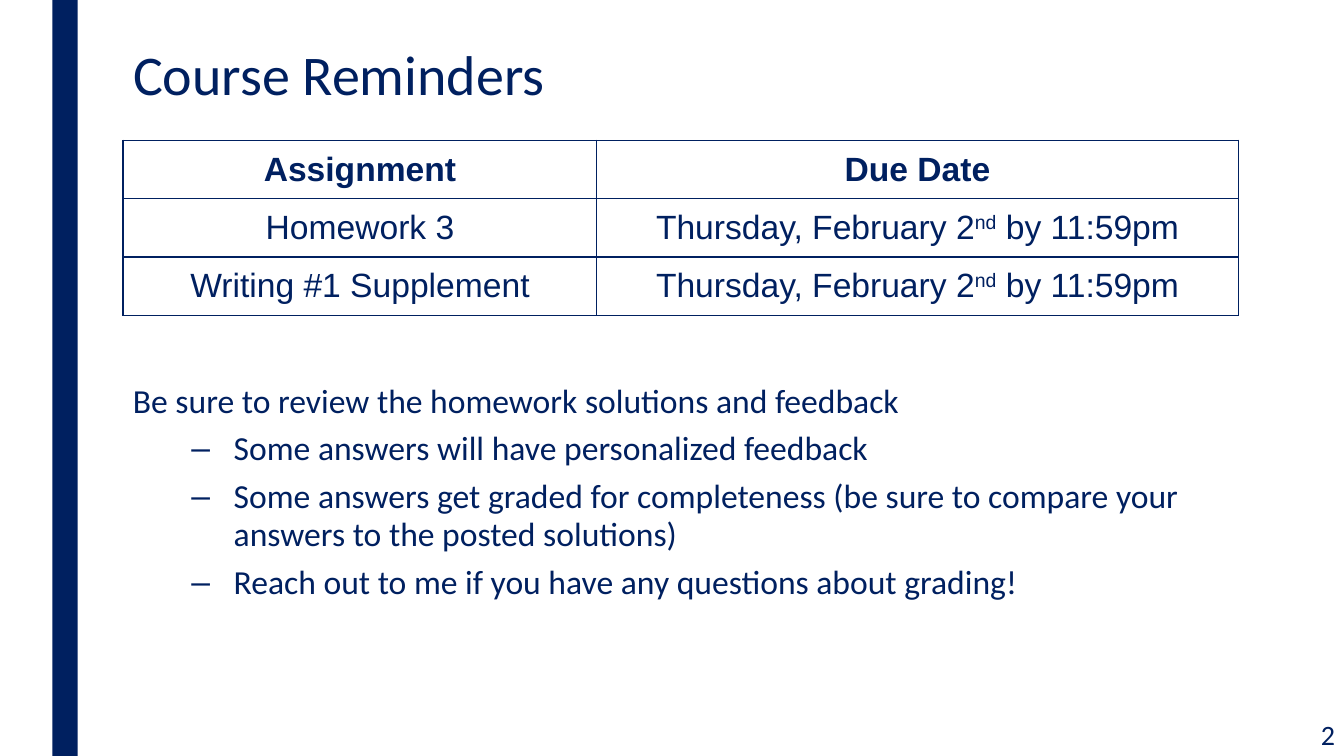
from dataclasses import dataclass

from lxml.etree import SubElement
from pptx import Presentation
from pptx.dml.color import RGBColor
from pptx.enum.shapes import MSO_SHAPE
from pptx.enum.text import MSO_ANCHOR, PP_ALIGN
from pptx.oxml.ns import qn
from pptx.util import Inches, Pt


@dataclass(frozen=True)
class Theme:
    navy: RGBColor = RGBColor(0x00, 0x20, 0x60)
    head: str = "Calibri"
    grid: str = "Arial"
    title: int = 40
    body: int = 24
    page: int = 20


THEME = Theme()
LEFT, WIDTH = 1.22, 11.06
DUE = "Thursday, February 2^nd^ by 11:59pm"
ROWS = [
    ("Assignment", "Due Date"),
    ("Homework 3", DUE),
    ("Writing #1 Supplement", DUE),
]
LEAD = "Be sure to review the homework solutions and feedback"
POINTS = [
    "Some answers will have personalized feedback",
    "Some answers get graded for completeness (be sure to compare your "
    "answers to the posted solutions)",
    "Reach out to me if you have any questions about grading!",
]


def write(para, text, size=THEME.body, font=THEME.head, bold=False,
          align=PP_ALIGN.LEFT, line=None, before=0):
    """Fill a paragraph; text between ^ marks is raised."""
    para.alignment = align
    para.space_before = Pt(before)
    if line:
        para.line_spacing = line
    for i, part in enumerate(text.split("^")):
        run = para.add_run()
        run.text = part
        run.font.size, run.font.name, run.font.bold = Pt(size), font, bold
        run.font.color.rgb = THEME.navy
        if i % 2:
            run.font._element.set("baseline", "30000")


def place(shape, left, top, width, height):
    shape.left, shape.top = Inches(left), Inches(top)
    shape.width, shape.height = Inches(width), Inches(height)


def add_bar(slide):
    bar = slide.shapes.add_shape(
        MSO_SHAPE.RECTANGLE, Inches(0.52), 0, Inches(0.25), Inches(7.5))
    bar.shadow.inherit = False
    bar.fill.solid()
    bar.fill.fore_color.rgb = THEME.navy
    bar.line.fill.background()


def set_title(slide, text):
    title = slide.shapes.title
    place(title, LEFT, 0.42, WIDTH, 0.81)
    title.text_frame.vertical_anchor = MSO_ANCHOR.TOP
    write(title.text_frame.paragraphs[0], text, size=THEME.title, line=0.89)


def add_box(slide, left, top, width, height, anchor=MSO_ANCHOR.TOP):
    box = slide.shapes.add_textbox(
        Inches(left), Inches(top), Inches(width), Inches(height))
    frame = box.text_frame
    frame.word_wrap = True
    frame.vertical_anchor = anchor
    return frame


def frame_cell(cell):
    """Draw a thin line on all four sides and clear the fill."""
    props = cell._tc.get_or_add_tcPr()
    for side in ("a:lnL", "a:lnR", "a:lnT", "a:lnB"):
        line = SubElement(props, qn(side), w=str(Pt(1)))
        fill = SubElement(line, qn("a:solidFill"))
        SubElement(fill, qn("a:srgbClr"), val=str(THEME.navy))
    cell.fill.background()


def add_grid(slide, rows, widths, height):
    shape = slide.shapes.add_table(
        len(rows), len(widths), Inches(LEFT), Inches(1.39),
        Inches(sum(widths)), Inches(height * len(rows)))
    table = shape.table
    table.horz_banding = False
    for col, width in zip(table.columns, widths):
        col.width = Inches(width)
    for r, row in enumerate(rows):
        table.rows[r].height = Inches(height)
        for c, text in enumerate(row):
            cell = table.cell(r, c)
            cell.vertical_anchor = MSO_ANCHOR.MIDDLE
            frame_cell(cell)
            write(cell.text_frame.paragraphs[0], text, font=THEME.grid,
                  bold=r == 0, align=PP_ALIGN.CENTER)


def add_dash(para):
    """Give a paragraph a hanging dash bullet."""
    props = para._p.get_or_add_pPr()
    props.set("marL", str(Inches(1)))
    props.set("indent", str(Inches(-0.42)))
    tint = SubElement(props, qn("a:buClr"))
    SubElement(tint, qn("a:srgbClr"), val=str(THEME.navy))
    SubElement(props, qn("a:buFont"), typeface=THEME.grid)
    SubElement(props, qn("a:buChar"), char="–")


def add_list(slide, lead, points):
    frame = add_box(slide, LEFT, 3.75, WIDTH, 3.21)
    write(frame.paragraphs[0], lead, line=0.94)
    for point in points:
        para = frame.add_paragraph()
        para.level = 1
        write(para, point, line=0.94, before=7)
        add_dash(para)


def add_page(slide, text):
    frame = add_box(slide, 11.59, 7.06, 1.75, 0.44, MSO_ANCHOR.MIDDLE)
    write(frame.paragraphs[0], text, size=THEME.page, align=PP_ALIGN.RIGHT)


def main():
    deck = Presentation()
    deck.slide_width, deck.slide_height = Inches(13.33), Inches(7.5)
    slide = deck.slides.add_slide(deck.slide_layouts[5])
    add_bar(slide)
    set_title(slide, "Course Reminders")
    add_page(slide, "2")
    add_grid(slide, ROWS, (4.7, 6.36), 0.58)
    add_list(slide, LEAD, POINTS)
    deck.save("out.pptx")


if __name__ == "__main__":
    main()
